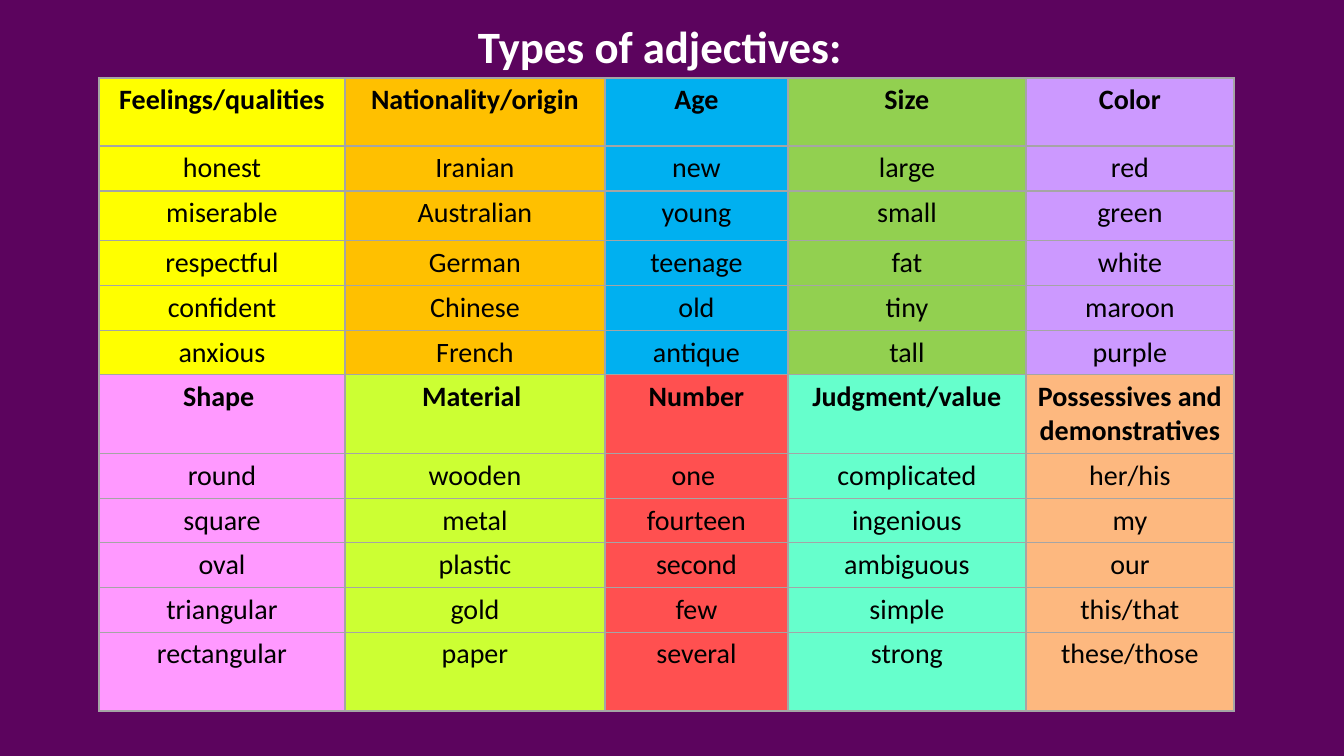
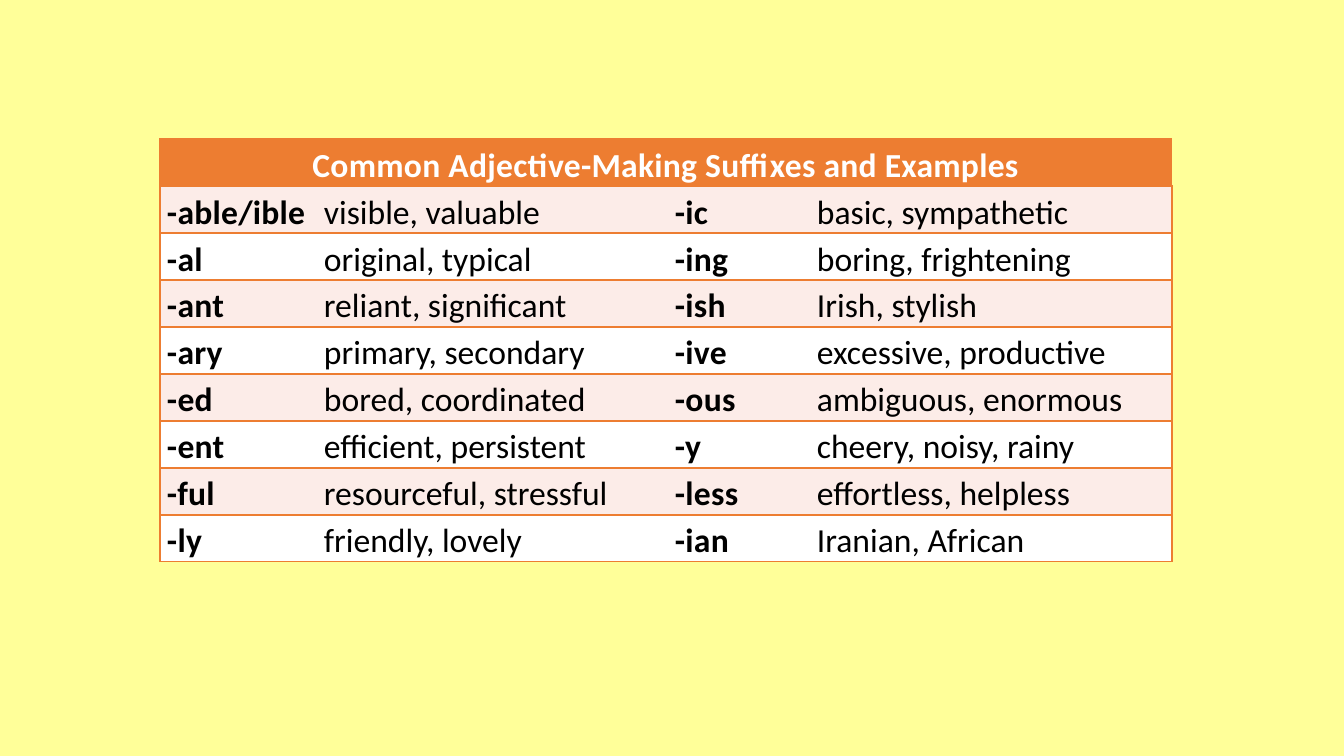
import dataclasses

import lxml.etree
import pptx
import pptx.dml.color
import pptx.enum.text
import pptx.oxml.ns
import pptx.util

ALIGN = pptx.enum.text.PP_ALIGN
RGB = pptx.dml.color.RGBColor.from_string


@dataclasses.dataclass(frozen=True)
class Theme:
    font: str = "Calibri"
    title_size: int = 32
    types_size: int = 20
    suffix_size: int = 24
    black: str = "000000"
    white: str = "FFFFFF"
    purple: str = "5C045E"
    pale_yellow: str = "FFFF99"
    grey: str = "A5A5A5"
    orange: str = "ED7D31"
    blush: str = "FCECE8"


theme = Theme()


def px(count):
    return pptx.util.Emu(round(count * 12192000 / 1344))


def add_span(para, text, size, colour, bold):
    span = para.add_run()
    span.text = text
    span.font.name = theme.font
    span.font.size = pptx.util.Pt(size)
    span.font.bold = bold
    span.font.color.rgb = RGB(colour)
    return span


deck = pptx.Presentation()
deck.slide_width, deck.slide_height = px(1344), px(756)

# Shared page set-up: plain background and one table, with plain cells
pages, tables = [], []
for background, left, top, widths, heights in (
    (theme.purple, 99, 78, (246, 260, 183, 238, 208),
     (68, 45, 50, 44, 45, 44, 78, 45, 44, 45, 44, 79)),
    (theme.pale_yellow, 160, 139, (157, 351, 142, 362), (47,) * 9),
):
    page = deck.slides.add_slide(deck.slide_layouts[6])
    page.background.fill.solid()
    page.background.fill.fore_color.rgb = RGB(background)
    table = page.shapes.add_table(
        len(heights), len(widths), px(left), px(top),
        px(sum(widths)), px(sum(heights))).table
    table.first_row = table.horz_banding = False
    for column, width in zip(table.columns, widths):
        column.width = px(width)
    for row, height in zip(table.rows, heights):
        row.height = px(height)
    pages.append(page)
    tables.append(table)

types_table, suffix_table = tables

# Cell borders: a full grey grid, and orange rules without inner verticals
for table, colour, inner_verticals in (
    (types_table, theme.grey, True),
    (suffix_table, theme.orange, False),
):
    last = len(table.columns) - 1
    for row in table.rows:
        for index, cell in enumerate(row.cells):
            shown = {"lnL": inner_verticals or index == 0,
                     "lnR": inner_verticals or index == last,
                     "lnT": True, "lnB": True}
            properties = cell._tc.get_or_add_tcPr()
            for edge, visible in shown.items():
                line = lxml.etree.SubElement(
                    properties, pptx.oxml.ns.qn("a:" + edge), w="12700")
                paint = lxml.etree.SubElement(line, pptx.oxml.ns.qn(
                    "a:solidFill" if visible else "a:noFill"))
                if visible:
                    lxml.etree.SubElement(
                        paint, pptx.oxml.ns.qn("a:srgbClr"), val=colour)

# Types of adjectives: two stacked bands of five categories
bands = (
    (
        ("FFFF00", "Feelings/qualities", "honest", "miserable", "respectful",
         "confident", "anxious"),
        ("FFC000", "Nationality/origin", "Iranian", "Australian", "German",
         "Chinese", "French"),
        ("00B0F0", "Age", "new", "young", "teenage", "old", "antique"),
        ("92D050", "Size", "large", "small", "fat", "tiny", "tall"),
        ("CC99FF", "Color", "red", "green", "white", "maroon", "purple"),
    ),
    (
        ("FF99FF", "Shape ", "round", "square", "oval", "triangular",
         "rectangular"),
        ("CCFF33", "Material ", "wooden", "metal", "plastic", "gold", "paper"),
        ("FF5050", "Number", "one ", "fourteen", "second", "few", "several"),
        ("66FFCC", "Judgment/value", "complicated", "ingenious", "ambiguous",
         "simple", "strong"),
        ("FDB87F", "Possessives and demonstratives", "her/his", "my", "our",
         "this/that", "these/those"),
    ),
)
for band_index, band in enumerate(bands):
    for column_index, (colour, *words) in enumerate(band):
        for word_index, word in enumerate(words):
            cell = types_table.cell(
                band_index * len(words) + word_index, column_index)
            cell.fill.solid()
            cell.fill.fore_color.rgb = RGB(colour)
            para = cell.text_frame.paragraphs[0]
            para.alignment = ALIGN.CENTER
            add_span(para, word, theme.types_size, theme.black, word_index == 0)

# Title above the types table
box = pages[0].shapes.add_textbox(px(468), px(14), px(388), px(65))
box.text_frame.word_wrap = False
box.text_frame.auto_size = pptx.enum.text.MSO_AUTO_SIZE.SHAPE_TO_FIT_TEXT
add_span(box.text_frame.paragraphs[0], "Types of adjectives:",
         theme.title_size, theme.white, True)

# Suffixes: a merged heading, then suffix and example pairs
suffix_rows = (
    ("Common Adjective-Making Suffixes and Examples", "", "", ""),
    ("-able/ible", "visible, valuable", "-ic", "basic, sympathetic"),
    ("-al", "original, typical", "-ing", "boring, frightening"),
    ("-ant", "reliant, significant", "-ish", "Irish, stylish"),
    ("-ary", "primary, secondary", "-ive", "excessive, productive"),
    ("-ed", "bored, coordinated", "-ous", "ambiguous, enormous"),
    ("-ent", "efficient, persistent", "-y", "cheery, noisy, rainy"),
    ("-ful", "resourceful, stressful", "-less", "effortless, helpless"),
    ("-ly", "friendly, lovely", "-ian", "Iranian, African"),
)
suffix_table.cell(0, 0).merge(suffix_table.cell(0, 3))
for row_index, words in enumerate(suffix_rows):
    heading = row_index == 0
    stripe = theme.blush if row_index % 2 else theme.white
    for column_index, word in enumerate(words):
        cell = suffix_table.cell(row_index, column_index)
        cell.margin_left = cell.margin_right = px(7)
        cell.margin_top = cell.margin_bottom = 0
        cell.fill.solid()
        cell.fill.fore_color.rgb = RGB(theme.orange if heading else stripe)
        if not word:
            continue
        para = cell.text_frame.paragraphs[0]
        para.alignment = ALIGN.CENTER if heading else ALIGN.JUSTIFY
        para.line_spacing = 1.15
        is_suffix = column_index % 2 == 0
        span = add_span(para, word, theme.suffix_size,
                        theme.white if heading else theme.black, is_suffix)
        if is_suffix:
            span.font._element.set("spc", "20")

deck.save("out.pptx")
